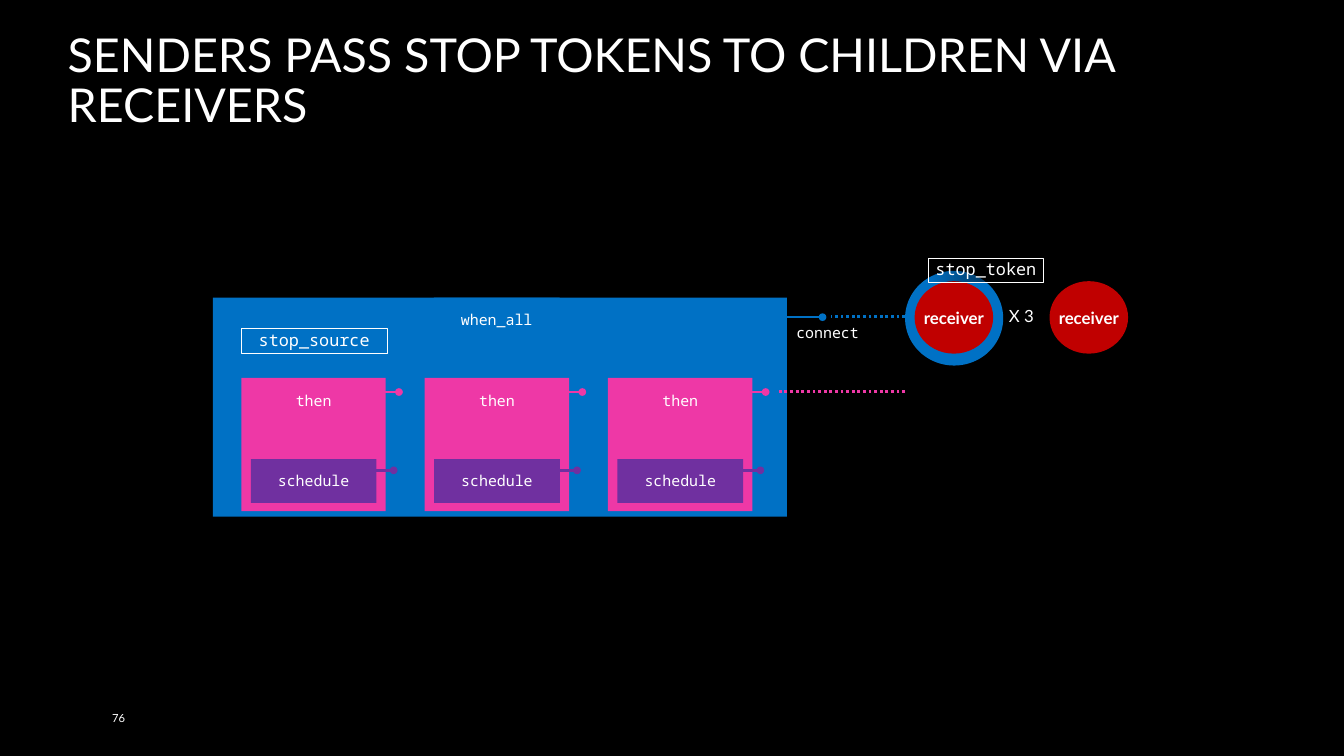
"""Build the slide showing how senders pass stop tokens to children via receivers."""
import lxml.etree
import pptx
import pptx.dml.color
import pptx.enum.dml
import pptx.enum.shapes
import pptx.enum.text
import pptx.oxml.ns
import pptx.util

Cm = pptx.util.Cm
Shape = pptx.enum.shapes.MSO_SHAPE
Anchor = pptx.enum.text.MSO_ANCHOR
Align = pptx.enum.text.PP_ALIGN
qn = pptx.oxml.ns.qn

COLORS = {
    "black": "000000",
    "white": "FFFFFF",
    "when_all": "0071C5",
    "then": "EE38A6",
    "schedule": "7030A0",
    "receiver": "C00000",
}
RGB = {name: pptx.dml.color.RGBColor.from_string(code) for name, code in COLORS.items()}
SANS, MONO = "Lato", "Noto Sans Mono"

presentation = pptx.Presentation()
presentation.slide_width = Cm(50.8)
presentation.slide_height = Cm(28.58)
slide = presentation.slides.add_slide(presentation.slide_layouts[6])
slide.background.fill.solid()
slide.background.fill.fore_color.rgb = RGB["black"]


def add_box(box, text="", kind=None, fill=None, outline=None, align=Align.CENTER,
            anchor=Anchor.MIDDLE, wrap=True, spacing=None, **font_format):
    left, top, width, height = (Cm(value) for value in box)
    if kind is None:
        shape = slide.shapes.add_textbox(left, top, width, height)
    else:
        shape = slide.shapes.add_shape(kind, left, top, width, height)
        shape.shadow.inherit = False
        shape.fill.background()
        shape.line.fill.background()
    if fill:
        shape.fill.solid()
        shape.fill.fore_color.rgb = RGB[fill]
    if outline:
        shape.line.color.rgb = RGB[outline]
        shape.line.width = pptx.util.Pt(0.5)
    shape.text_frame.word_wrap = wrap
    shape.text_frame.vertical_anchor = anchor
    if text:
        paragraph = shape.text_frame.paragraphs[0]
        paragraph.alignment = align
        paragraph.line_spacing = spacing
        run = paragraph.add_run()
        run.text = text
        run.font.color.rgb = RGB["white"]
        for name, value in font_format.items():
            setattr(run.font, name, value)
    return shape


def add_line(start, end, y, color, dotted=False):
    line = slide.shapes.add_connector(
        pptx.enum.shapes.MSO_CONNECTOR.STRAIGHT, Cm(start), Cm(y), Cm(end), Cm(y))
    line.line.color.rgb = RGB[color]
    line.line.width = pptx.util.Pt(3 if dotted else 2.75)
    if dotted:
        line.line.dash_style = pptx.enum.dml.MSO_LINE.ROUND_DOT
    else:
        lxml.etree.SubElement(line.line._get_or_add_ln(), qn("a:tailEnd"), type="oval")
    lxml.etree.SubElement(line._element.spPr, qn("a:effectLst"))


title_format = {"size": pptx.util.Pt(50), "name": SANS}
code_format = {"size": pptx.util.Pt(16), "name": MONO}
stop_format = {"size": pptx.util.Pt(18), "name": MONO, "spacing": 0.9,
               "kind": Shape.RECTANGLE, "outline": "white"}
count_format = {"size": pptx.util.Pt(18), "name": SANS, "spacing": 0.9}
receiver_format = {"size": pptx.util.Pt(18), "name": SANS, "bold": True,
                   "kind": Shape.OVAL, "fill": "receiver", "wrap": False}
number_format = {"size": pptx.util.Pt(12), "name": SANS}

add_box((2.31, 2.41, 46.18, 2.74), "SENDERS PASS STOP TOKENS TO CHILDREN VIA RECEIVERS",
        align=Align.LEFT, anchor=Anchor.BOTTOM, spacing=0.9, **title_format)

add_box((8.05, 11.25, 21.69, 8.28), kind=Shape.RECTANGLE, fill="when_all")
add_box((16.4, 11.25, 4.75, 1.65), "when_all", Shape.RECTANGLE, "when_all", **code_format)

column_step = 6.93
for column in range(3):
    offset = column * column_step
    add_box((9.12 + offset, 14.29, 5.46, 5.03), kind=Shape.RECTANGLE, fill="then")
    for name, top, line_start, line_y in (("then", 14.31, 13.33, 14.82),
                                          ("schedule", 17.36, 13.13, 17.78)):
        add_box((9.48 + offset, top, 4.75, 1.65), name, Shape.RECTANGLE, name, **code_format)
        add_line(line_start + offset, line_start + offset + 1.75, line_y, name)

add_line(29.34, 31.09, 11.99, "when_all")
add_box((29.85, 12.17, 2.97, 0.86), "connect", align=Align.LEFT, spacing=0.9, **code_format)
add_box((36.75, 11.51, 3.71, 0.94), "X 3", **count_format)
add_line(34.21, 31.42, 11.96, "when_all", dotted=True)
add_box((3.99, 26.37, 11.43, 1.52), "76", align=Align.LEFT, **number_format)
add_box((9.12, 12.42, 5.51, 0.94), "stop_source", **stop_format)

add_box((34.21, 10.24, 3.71, 3.58), kind=Shape.OVAL, fill="when_all")
for left in (34.57, 39.67):
    add_box((left, 10.63, 2.97, 2.74), "receiver", **receiver_format)

stop_token = add_box((35.08, 9.75, 4.37, 0.94), "stop_token", **stop_format)
stop_token.fill.gradient()
stop_token.fill.gradient_angle = 0
for stop, position in zip(stop_token.fill.gradient_stops, (0, 1)):
    stop.color.rgb = RGB["black"]
    stop.position = position
first_color = stop_token._element.spPr.find(".//" + qn("a:gs")).find(qn("a:srgbClr"))
lxml.etree.SubElement(first_color, qn("a:alpha"), val="0")

add_line(34.21, 29.34, 14.81, "then", dotted=True)

presentation.save("out.pptx")
